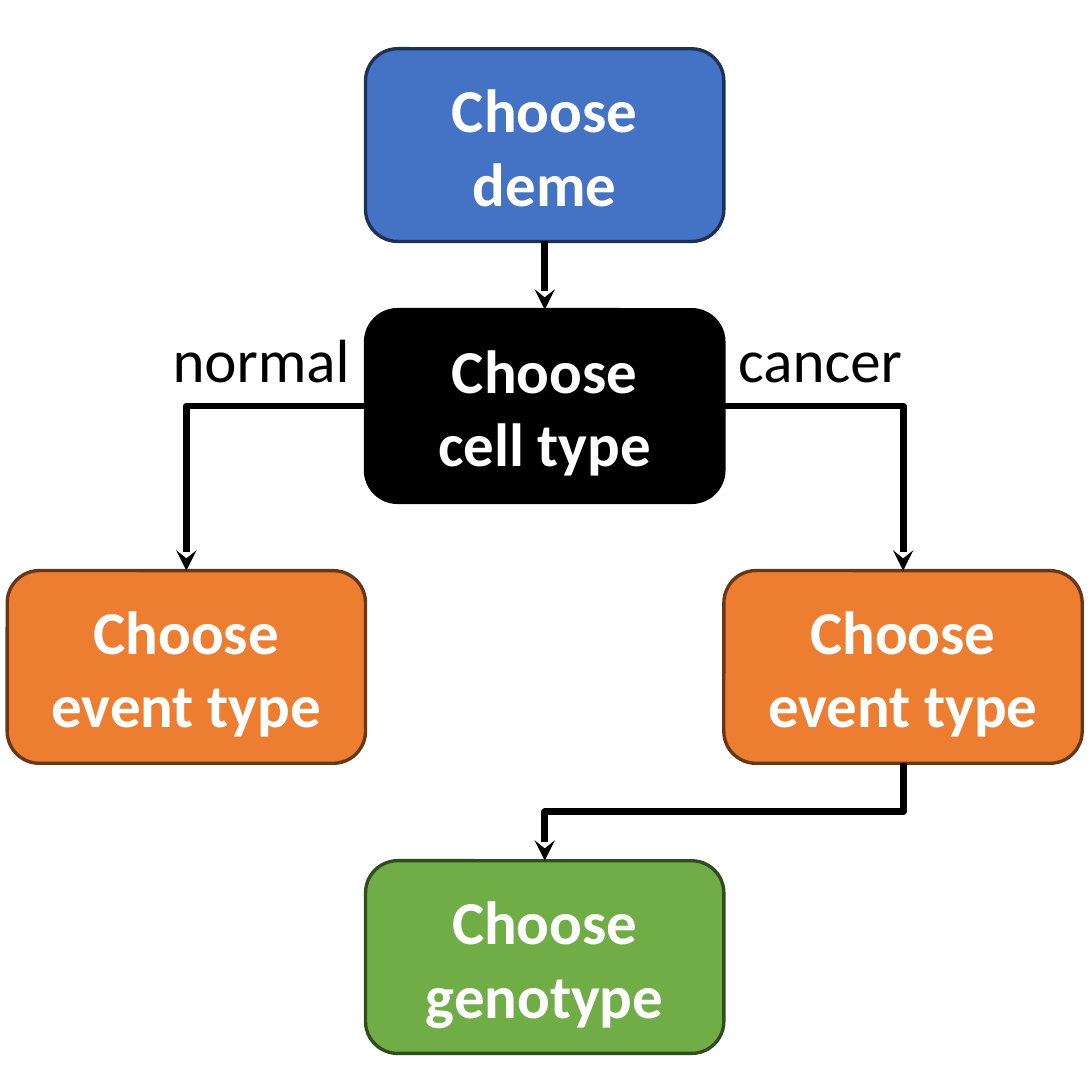
from pptx import Presentation
from pptx.dml.color import RGBColor
from pptx.enum.shapes import MSO_CONNECTOR as Link, MSO_SHAPE as Shape
from pptx.enum.text import MSO_ANCHOR as Anchor, MSO_AUTO_SIZE as Fit, PP_ALIGN as Align
from pptx.oxml.ns import qn
from pptx.util import Inches, Pt
from lxml.etree import SubElement


def paint(color, code):
    color.rgb = RGBColor.from_string(code)


def style(frame, code, bold, align):
    for para in frame.paragraphs:
        para.alignment = align
        for run in para.runs:
            run.font.name = "Calibri"
            run.font.size = Pt(18)
            run.font.bold = bold
            paint(run.font.color, code)


deck = Presentation()
deck.slide_width, deck.slide_height = Inches(4.48), Inches(4.47)
slide = deck.slides.add_slide(deck.slide_layouts[6])
shapes = slide.shapes

wide, high = 1.47, 0.79
steps = [
    ("deme", 1, 0.2, "Choose\ndeme", "4472C4", "1E3256"),
    ("cell", 1, 1.27, "Choose\ncell type", "000000", "000000"),
    ("normal", 0, 2.34, "Choose\nevent type", "ED7D31", "683715"),
    ("cancer", 2, 2.34, "Choose event type", "ED7D31", "683715"),
    ("gene", 1, 3.53, "Choose genotype", "70AD47", "314C1F"),
]
boxes = {}
for name, col, top, text, fill, edge in steps:
    box = shapes.add_shape(Shape.ROUNDED_RECTANGLE, Inches(0.03 + col * wide),
                           Inches(top), Inches(wide), Inches(high))
    box.shadow.inherit = False
    box.fill.solid()
    paint(box.fill.fore_color, fill)
    paint(box.line.color, edge)
    box.line.width = Pt(1)
    frame = box.text_frame
    frame.text = text
    frame.word_wrap = True
    frame.vertical_anchor = Anchor.MIDDLE
    style(frame, "FFFFFF", True, Align.CENTER)
    boxes[name] = box

links = [
    ("deme", 2, "cell", Link.STRAIGHT, "line"),
    ("cell", 1, "normal", Link.ELBOW, "bentConnector2"),
    ("cell", 3, "cancer", Link.ELBOW, "bentConnector2"),
    ("cancer", 2, "gene", Link.ELBOW, "bentConnector3"),
]
for start, side, end, kind, form in links:
    link = shapes.add_connector(kind, 0, 0, 0, 0)
    link.begin_connect(boxes[start], side)
    link.end_connect(boxes[end], 0)
    props = link.element.spPr
    props.find(qn("a:prstGeom")).set("prst", form)
    if form == "bentConnector3":
        mid_x = link.left + link.width // 2
        mid_y = link.top + link.height // 2
        link.width, link.height = link.height, link.width
        link.left = mid_x - link.width // 2
        link.top = mid_y - link.height // 2
        frame = props.find(qn("a:xfrm"))
        frame.attrib.pop("flipH", None)
        frame.set("rot", "5400000")
    paint(link.line.color, "000000")
    link.line.width = Pt(2)
    SubElement(props.find(qn("a:ln")), qn("a:tailEnd"), type="stealth")
    SubElement(props, qn("a:effectLst"))

for text, left, span in [("normal", 0.61, 0.94), ("cancer", 2.93, 0.88)]:
    label = shapes.add_textbox(Inches(left), Inches(1.27), Inches(span), Inches(0.4))
    frame = label.text_frame
    frame.text = text
    frame.word_wrap = False
    frame.auto_size = Fit.SHAPE_TO_FIT_TEXT
    style(frame, "000000", False, Align.LEFT)

deck.save("out.pptx")
